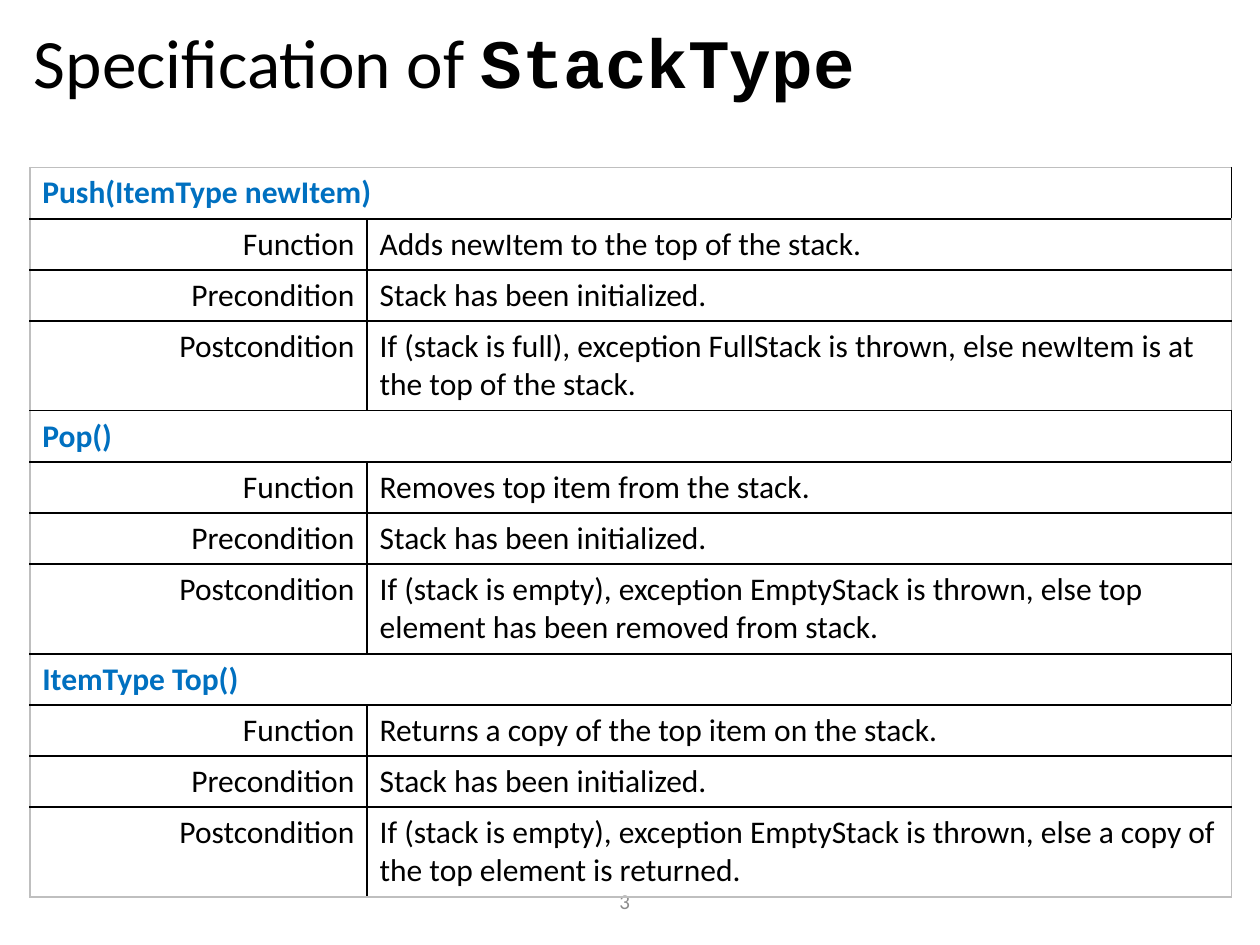
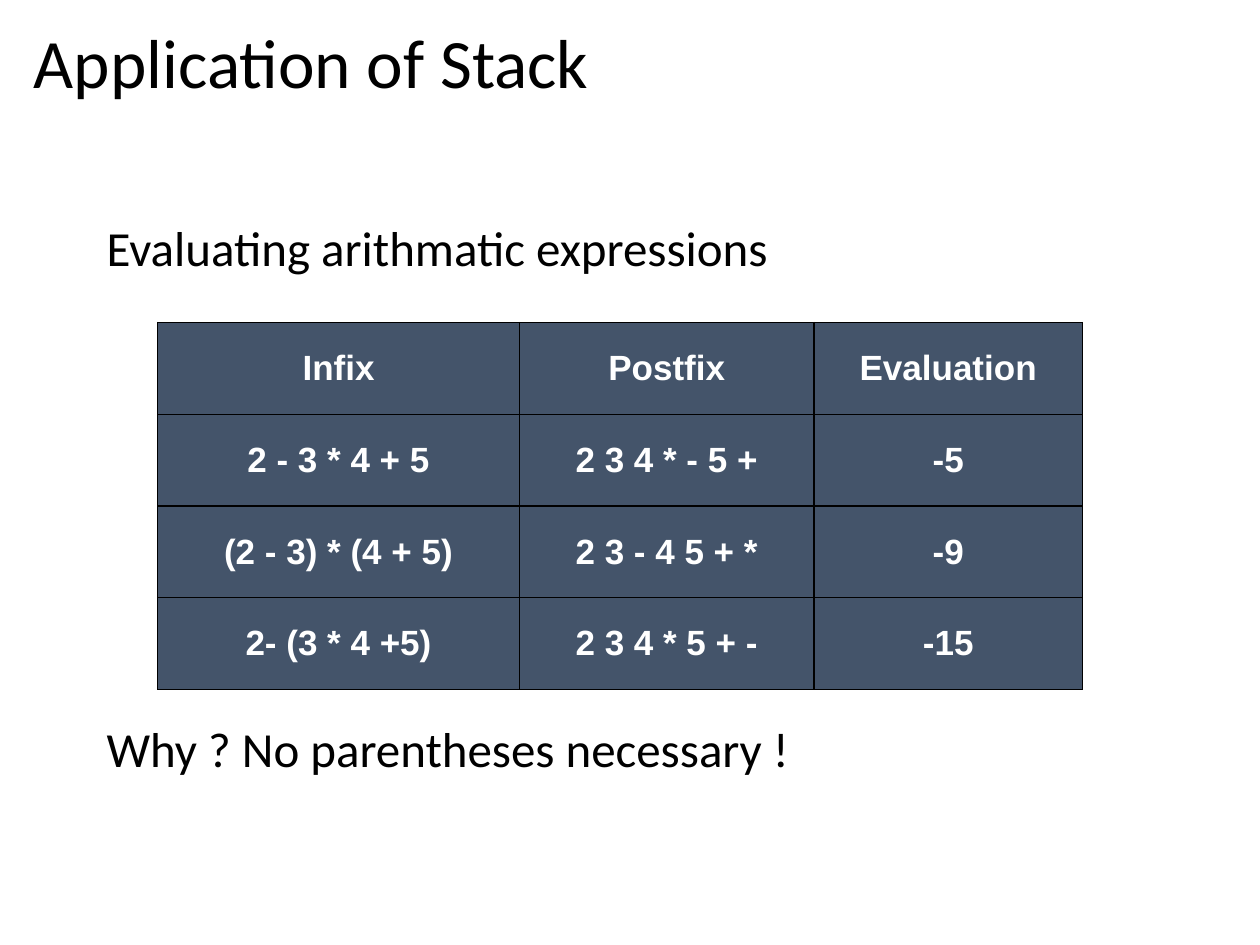
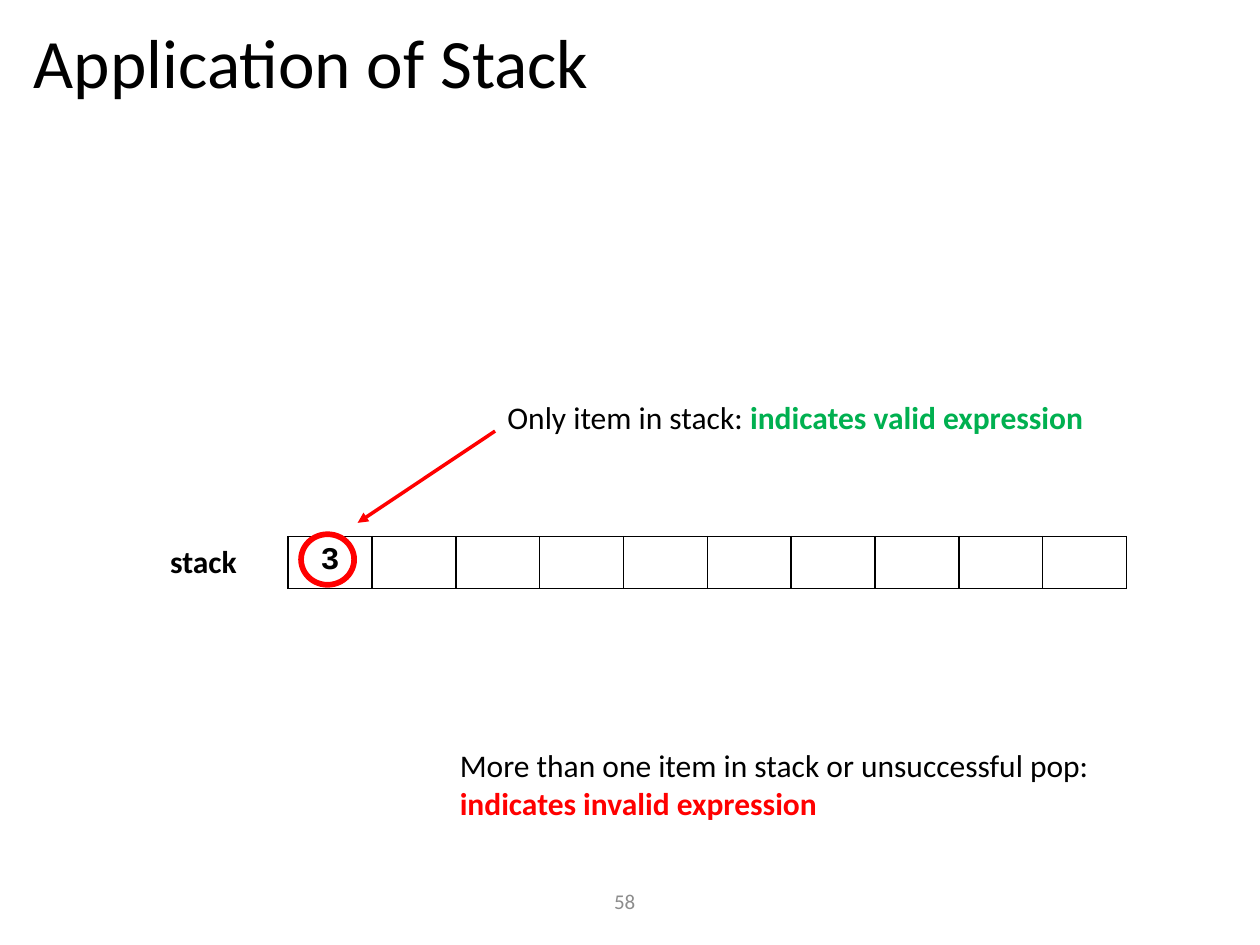
from lxml import etree
from pptx import Presentation
from pptx.dml.color import RGBColor
from pptx.enum import shapes, text
from pptx.oxml import ns
from pptx.util import Cm, Pt

COLORS = {
    "text": "000000",
    "heading": "0070C0",
    "page": "8C8C8C",
    "frame": "BFBFBF",
    "panel": "44546A",
    "panel_text": "FFFFFF",
    "valid": "00B050",
    "alert": "FF0000",
}
BODY, CODE, GRID = "Calibri", "Courier New", "Arial"
TITLE_SIZE = 39.6
LEFT, CENTER, RIGHT = text.PP_ALIGN.LEFT, text.PP_ALIGN.CENTER, text.PP_ALIGN.RIGHT
TOP, MIDDLE = text.MSO_ANCHOR.TOP, text.MSO_ANCHOR.MIDDLE

OPERATIONS = [
    ("Push(ItemType newItem)",
     "Adds newItem to the top of the stack.",
     "If (stack is full), exception FullStack is thrown, "
     "else newItem is at the top of the stack."),
    ("Pop()",
     "Removes top item from the stack.",
     "If (stack is empty), exception EmptyStack is thrown, "
     "else top element has been removed from stack."),
    ("ItemType Top()",
     "Returns a copy of the top item on the stack.",
     "If (stack is empty), exception EmptyStack is thrown, "
     "else a copy of the top element is returned."),
]
EXPRESSIONS = [
    ("Infix", "Postfix", "Evaluation"),
    ("2 - 3 * 4 + 5", "2 3 4 * - 5 +", "-5"),
    ("(2 - 3) * (4 + 5)", "2 3 - 4 5 + *", "-9"),
    ("2- (3 * 4 +5)", "2 3 4 * 5 + -", "-15"),
]


def rgb(name):
    return RGBColor.from_string(COLORS[name])


def add_run(paragraph, content, size=18, color="text", bold=False, font=BODY):
    run = paragraph.add_run()
    run.text = content
    run.font.name = font
    run.font.size = Pt(size)
    run.font.bold = bold
    run.font.color.rgb = rgb(color)


def add_text(slide, box, runs, align=LEFT, anchor=TOP):
    """Each run is a dict of add_run arguments; box is left, top, width, height in cm."""
    frame = slide.shapes.add_textbox(*map(Cm, box)).text_frame
    frame.word_wrap = True
    frame.vertical_anchor = anchor
    paragraph = frame.paragraphs[0]
    paragraph.alignment = align
    for run in runs:
        add_run(paragraph, **run)


def add_title_slide(presentation, title_runs, page=None):
    slide = presentation.slides.add_slide(presentation.slide_layouts[5])
    title = slide.shapes.title
    title.left, title.top, title.width, title.height = map(Cm, (0.43, 0.46, 24.43, 1.88))
    title.text_frame.auto_size = text.MSO_AUTO_SIZE.NONE
    title.text_frame.vertical_anchor = TOP
    paragraph = title.text_frame.paragraphs[0]
    paragraph.alignment = LEFT
    paragraph.line_spacing = 0.9
    for run in title_runs:
        add_run(paragraph, size=TITLE_SIZE, **run)
    if page:
        add_text(slide, (6.65, 17.65, 11.89, 1.02),
                 [dict(content=page, size=12, color="page")], CENTER, MIDDLE)
    return slide


def set_border(cell, side, color, width):
    line = etree.SubElement(cell._tc.get_or_add_tcPr(), ns.qn(f"a:ln{side}"), w=str(Pt(width)))
    fill = etree.SubElement(line, ns.qn("a:solidFill"))
    etree.SubElement(fill, ns.qn("a:srgbClr"), val=COLORS[color])


def add_grid(slide, left, top, widths, heights, line_width, frame="text", fill=None):
    """Add an unstyled table with black inner lines and outer lines in the frame colour."""
    table = slide.shapes.add_table(
        len(heights), len(widths), Cm(left), Cm(top), Cm(sum(widths)), Cm(sum(heights))).table
    table.first_row = table.horz_banding = False
    for column, width in zip(table.columns, widths):
        column.width = Cm(width)
    for row, height in zip(table.rows, heights):
        row.height = Cm(height)
    last_row, last_column = len(heights) - 1, len(widths) - 1
    for i in range(len(heights)):
        for j in range(len(widths)):
            cell = table.cell(i, j)
            outer = {"L": j == 0, "R": j == last_column, "T": i == 0, "B": i == last_row}
            for side, is_outer in outer.items():
                set_border(cell, side, frame if is_outer else "text", line_width)
            if fill:
                cell.fill.solid()
                cell.fill.fore_color.rgb = rgb(fill)
            else:
                cell.fill.background()
    return table


def fill_cell(cell, content, align=LEFT, anchor=TOP, **style):
    cell.vertical_anchor = anchor
    paragraph = cell.text_frame.paragraphs[0]
    paragraph.alignment = align
    add_run(paragraph, content, **style)


def add_specification(slide, left, top):
    heights = [1.03, 1.03, 1.03, 1.81] * len(OPERATIONS)
    table = add_grid(slide, left, top, [6.8, 17.43], heights, 1, frame="frame")
    for index, (signature, function, postcondition) in enumerate(OPERATIONS):
        first = 4 * index
        table.cell(first, 0).merge(table.cell(first, 1))
        fill_cell(table.cell(first, 0), signature, color="heading", bold=True)
        details = [("Function", function),
                   ("Precondition", "Stack has been initialized."),
                   ("Postcondition", postcondition)]
        for row, (label, description) in enumerate(details, first + 1):
            fill_cell(table.cell(row, 0), label, RIGHT)
            fill_cell(table.cell(row, 1), description)


def add_expressions(slide, left, top):
    table = add_grid(slide, left, top, [7.29, 5.94, 5.41],
                     [1.85] * len(EXPRESSIONS), 0.75, fill="panel")
    for i, row in enumerate(EXPRESSIONS):
        for j, content in enumerate(row):
            fill_cell(table.cell(i, j), content, CENTER, MIDDLE,
                      size=20, color="panel_text", bold=True, font=GRID)


def add_arrow(slide, start, end):
    arrow = slide.shapes.add_connector(
        shapes.MSO_CONNECTOR.STRAIGHT, *map(Cm, (*start, *end)))
    arrow.line.color.rgb = rgb("alert")
    arrow.line.width = Pt(2)
    etree.SubElement(arrow.line._get_or_add_ln(), ns.qn("a:tailEnd"), type="triangle")
    etree.SubElement(arrow._element.spPr, ns.qn("a:effectLst"))


def add_stack(slide, left, top):
    """Draw the labelled stack, with its only item circled and pointed at."""
    table = add_grid(slide, left, top, [1.69] * 10, [1.04], 1)
    fill_cell(table.cell(0, 0), "3", CENTER, bold=True, font=CODE)
    add_text(slide, (left - 2.63, top - 0.02, 2.26, 1.02),
             [dict(content="stack", bold=True)])
    ring = slide.shapes.add_shape(
        shapes.MSO_SHAPE.OVAL, Cm(left + 0.26), Cm(top - 0.05), Cm(1.07), Cm(1.02))
    ring.shadow.inherit = False
    ring.fill.background()
    ring.line.color.rgb = rgb("alert")
    ring.line.width = Pt(3.25)
    add_arrow(slide, (left + 4.17, top - 2.13), (left + 1.4, top - 0.28))


def build_specification_slide(presentation):
    slide = add_title_slide(
        presentation,
        [dict(content="Specification of "),
         dict(content="StackType", bold=True, font=CODE)], "3")
    add_specification(slide, 0.6, 3.38)


def build_expressions_slide(presentation):
    slide = add_title_slide(presentation, [dict(content="Application of Stack")])
    add_expressions(slide, 3.18, 6.5)
    for top, content in ((4.27, "Evaluating arithmatic expressions"),
                         (14.35, "Why ? No parentheses necessary !")):
        add_text(slide, (1.9, top, 21.46, 1.45), [dict(content=content, size=28)])


def build_validity_slide(presentation):
    slide = add_title_slide(presentation, [dict(content="Application of Stack")], "58")
    add_stack(slide, 5.81, 10.82)
    add_text(slide, (9.02, 14.91, 14.35, 1.8),
             [dict(content="More than one item in stack or unsuccessful pop: "),
              dict(content="indicates invalid expression", color="alert", bold=True)])
    add_text(slide, (9.98, 7.9, 14.35, 1.02),
             [dict(content="Only item in stack: "),
              dict(content="indicates valid expression", color="valid", bold=True)])


def main():
    presentation = Presentation()
    presentation.slide_width, presentation.slide_height = Cm(25.4), Cm(19.05)
    build_specification_slide(presentation)
    build_expressions_slide(presentation)
    build_validity_slide(presentation)
    presentation.save("out.pptx")


if __name__ == "__main__":
    main()
